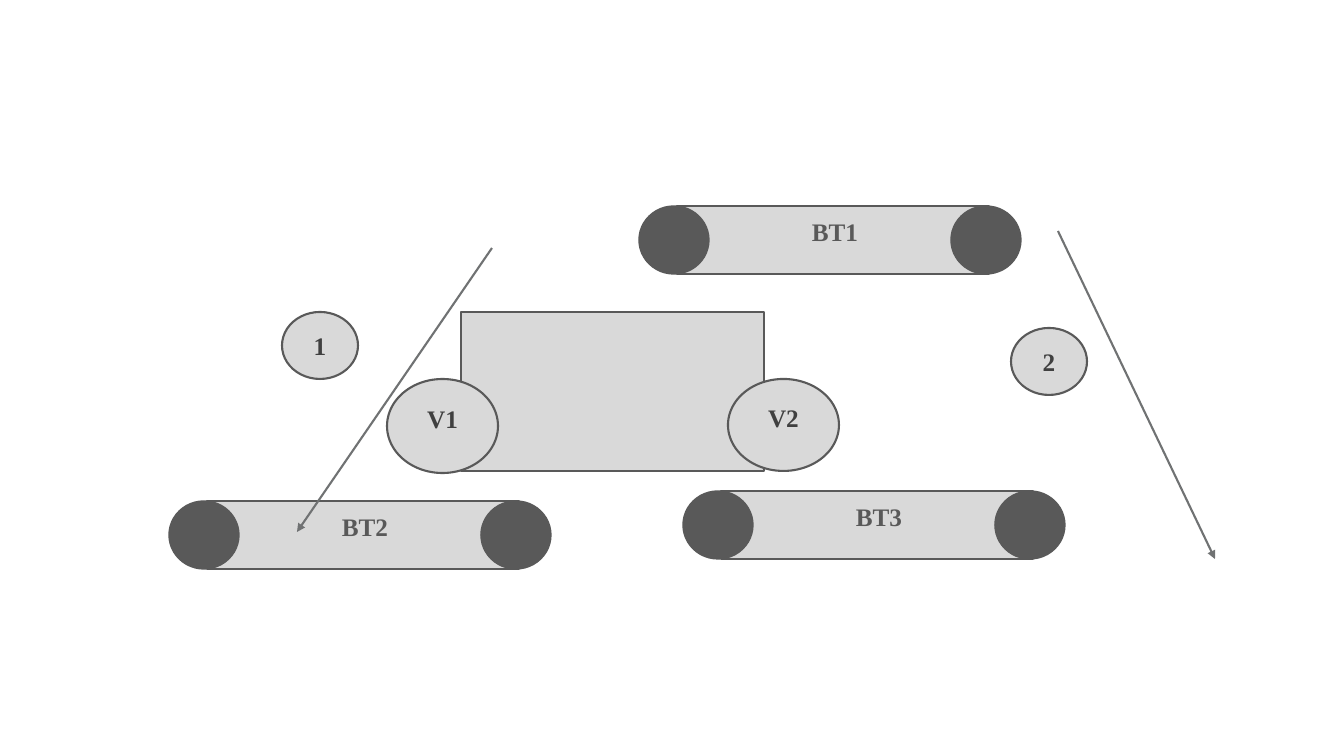
"""Draw a diagram of three belt conveyors and a carriage with two numbered paths."""
import lxml.etree
import pptx
import pptx.dml.color
import pptx.enum.shapes
import pptx.enum.text
import pptx.oxml.ns
import pptx.util

LIGHT = pptx.dml.color.RGBColor(0xD9, 0xD9, 0xD9)
DARK = pptx.dml.color.RGBColor(0x59, 0x59, 0x59)
INK = pptx.dml.color.RGBColor(0x40, 0x40, 0x40)
ARROW = pptx.dml.color.RGBColor(0x70, 0x72, 0x73)
RECTANGLE = pptx.enum.shapes.MSO_SHAPE.RECTANGLE
CIRCLE = pptx.enum.shapes.MSO_SHAPE.FLOWCHART_CONNECTOR
WIDTH, HEIGHT = 1344, 756
BELT_LENGTH, BELT_HEIGHT, WHEEL_WIDTH, WHEEL_OVERHANG = 312, 68, 70, 38


def emu(pixels):
    return pptx.util.Emu(round(pixels * 12192000 / WIDTH))


class Diagram:
    font = "Times New Roman"
    size = pptx.util.Pt(18)
    line_width = pptx.util.Pt(1.5)

    def __init__(self, page):
        self.page = page

    def set_text(self, shape, text, color):
        shape.text_frame.text = text
        span = shape.text_frame.paragraphs[0].runs[0]
        span.font.name = self.font
        span.font.size = self.size
        span.font.bold = True
        span.font.color.rgb = color

    def shape(self, kind, left, top, width, height, fill=LIGHT, line_width=line_width):
        shape = self.page.shapes.add_shape(kind, emu(left), emu(top), emu(width), emu(height))
        shape.shadow.inherit = False
        shape.fill.solid()
        shape.fill.fore_color.rgb = fill
        shape.line.color.rgb = DARK
        shape.line.width = line_width
        return shape

    def label(self, text, left, top, width, height):
        box = self.page.shapes.add_textbox(emu(left), emu(top), emu(width), emu(height))
        box.text_frame.word_wrap = True
        self.set_text(box, text, DARK)

    def bubble(self, text, left, top, width, height, bottom_margin=5):
        bubble = self.shape(CIRCLE, left, top, width, height)
        self.set_text(bubble, text, INK)
        bubble.text_frame.margin_bottom = emu(bottom_margin)
        bubble.text_frame.vertical_anchor = pptx.enum.text.MSO_ANCHOR.MIDDLE
        bubble.text_frame.paragraphs[0].alignment = pptx.enum.text.PP_ALIGN.CENTER

    def conveyor(self, text, left, top):
        self.shape(RECTANGLE, left, top, BELT_LENGTH, BELT_HEIGHT)
        first_wheel = left - WHEEL_OVERHANG
        for wheel in (first_wheel, first_wheel + BELT_LENGTH):
            self.shape(CIRCLE, wheel, top, WHEEL_WIDTH, BELT_HEIGHT, DARK, pptx.util.Pt(1))
        self.label(text, left + 125, top + 5, 75, 72)

    def arrow(self, *points):
        straight = pptx.enum.shapes.MSO_CONNECTOR.STRAIGHT
        arrow = self.page.shapes.add_connector(straight, *map(emu, points))
        arrow.line.color.rgb = ARROW
        arrow.line.width = self.line_width
        properties = arrow.element.spPr
        outline = properties.find(pptx.oxml.ns.qn("a:ln"))
        lxml.etree.SubElement(outline, pptx.oxml.ns.qn("a:tailEnd"), type="triangle")
        lxml.etree.SubElement(properties, pptx.oxml.ns.qn("a:effectLst"))


deck = pptx.Presentation()
deck.slide_width, deck.slide_height = emu(WIDTH), emu(HEIGHT)
diagram = Diagram(deck.slides.add_slide(deck.slide_layouts[6]))

diagram.conveyor("BT1", 677, 206)
diagram.bubble("2", 1011, 328, 76, 67)
diagram.bubble("1", 282, 312, 76, 67)
diagram.shape(RECTANGLE, 461, 312, 303, 159)
diagram.bubble("V2", 728, 379, 111, 92, bottom_margin=21)
diagram.bubble("V1", 387, 379, 111, 94, bottom_margin=21)
diagram.conveyor("BT3", 721, 491)
diagram.conveyor("BT2", 207, 501)
diagram.arrow(1058, 231, 1215, 559)
diagram.arrow(492, 248, 297, 532)

deck.save("out.pptx")
